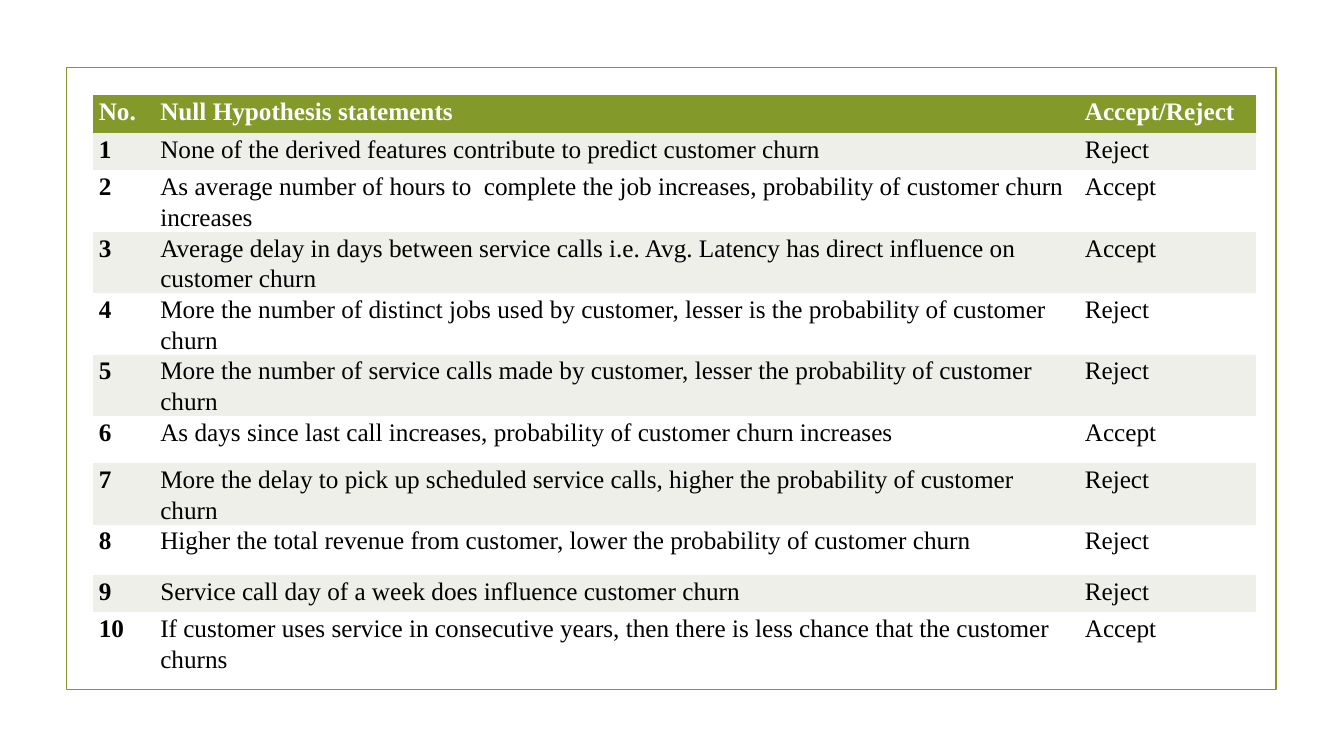
from pptx import Presentation
from pptx.dml.color import RGBColor
from pptx.enum.shapes import MSO_SHAPE
from pptx.oxml.ns import qn
from pptx.util import Inches, Pt

RECTANGLE = MSO_SHAPE.RECTANGLE
COLORS = {"green": "83992A", "band": "EDEFE8", "white": "FFFFFF", "black": "000000"}
PLAIN_TABLE = "{2D5ABB26-0587-4C30-8999-92F81FD0307C}"
BLANK_LAYOUT = 6

HEADER = ("No.", "Null Hypothesis statements", "Accept/Reject")
HYPOTHESES = [
    ("None of the derived features contribute to predict customer churn", "Reject"),
    ("As average number of hours to  complete the job increases, "
     "probability of customer churn increases", "Accept"),
    ("Average delay in days between service calls i.e. Avg. Latency "
     "has direct influence on customer churn", "Accept"),
    ("More the number of distinct jobs used by customer, "
     "lesser is the probability of customer churn", "Reject"),
    ("More the number of service calls made by customer, "
     "lesser the probability of customer churn", "Reject"),
    ("As days since last call increases, probability of customer churn increases", "Accept"),
    ("More the delay to pick up scheduled service calls, "
     "higher the probability of customer churn", "Reject"),
    ("Higher the total revenue from customer, "
     "lower the probability of customer churn", "Reject"),
    ("Service call day of a week does influence customer churn", "Reject"),
    ("If customer uses service in consecutive years, "
     "then there is less chance that the customer churns", "Accept"),
]
COLUMN_WIDTHS = (0.61, 9.17, 1.76)
ROW_HEIGHTS = (0.38, 0.37, 0.42, 0.42, 0.44, 0.49, 0.47, 0.52, 0.5, 0.37, 0.37)


def color(name):
    return RGBColor.from_string(COLORS[name])


class Page:
    """Holds the text style and the slide; places are grid units of one inch."""

    font_name = "Times New Roman"
    font_size = Pt(18)
    line_spacing = 1.1
    cell_inset = Inches(0.06)

    def __init__(self, deck):
        self.slide = deck.slides.add_slide(deck.slide_layouts[BLANK_LAYOUT])

    def frame(self, left, top, width, height):
        box = self.slide.shapes.add_shape(
            RECTANGLE, Inches(left), Inches(top), Inches(width), Inches(height))
        box.shadow.inherit = False
        box.fill.background()
        box.line.color.rgb = color("green")
        box.line.width = Pt(1.25)

    def table(self, left, top, widths, heights, records):
        holder = self.slide.shapes.add_table(
            len(heights), len(widths), Inches(left), Inches(top),
            Inches(sum(widths)), Inches(sum(heights)))
        for style in holder.element.iter(qn("a:tableStyleId")):
            style.text = PLAIN_TABLE
        table = holder.table
        for column, width in zip(table.columns, widths):
            column.width = Inches(width)
        for row, height in zip(table.rows, heights):
            row.height = Inches(height)
        for row_index, record in enumerate(records):
            for column_index, text in enumerate(record):
                self.cell(table.cell(row_index, column_index), text,
                          row_index, column_index)

    def cell(self, cell, text, row_index, column_index):
        is_header = row_index == 0
        band = "band" if row_index % 2 else "white"
        cell.fill.solid()
        cell.fill.fore_color.rgb = color("green" if is_header else band)
        cell.margin_left = cell.margin_right = self.cell_inset
        cell.margin_top = cell.margin_bottom = 0
        cell.text_frame.text = text
        para = cell.text_frame.paragraphs[0]
        para.line_spacing = self.line_spacing
        font = para.runs[0].font
        font.name, font.size = self.font_name, self.font_size
        font.bold = is_header or column_index == 0
        font.color.rgb = color("white" if is_header else "black")


def main():
    deck = Presentation()
    deck.slide_width, deck.slide_height = Inches(13.33), Inches(7.5)
    page = Page(deck)

    # Green outline around the content
    page.frame(0.66, 0.67, 12, 6.17)

    # Numbered hypotheses with their outcome
    numbered = [(str(number), *hypothesis)
                for number, hypothesis in enumerate(HYPOTHESES, start=1)]
    page.table(0.92, 0.94, COLUMN_WIDTHS, ROW_HEIGHTS, [HEADER, *numbered])

    deck.save("out.pptx")


if __name__ == "__main__":
    main()
